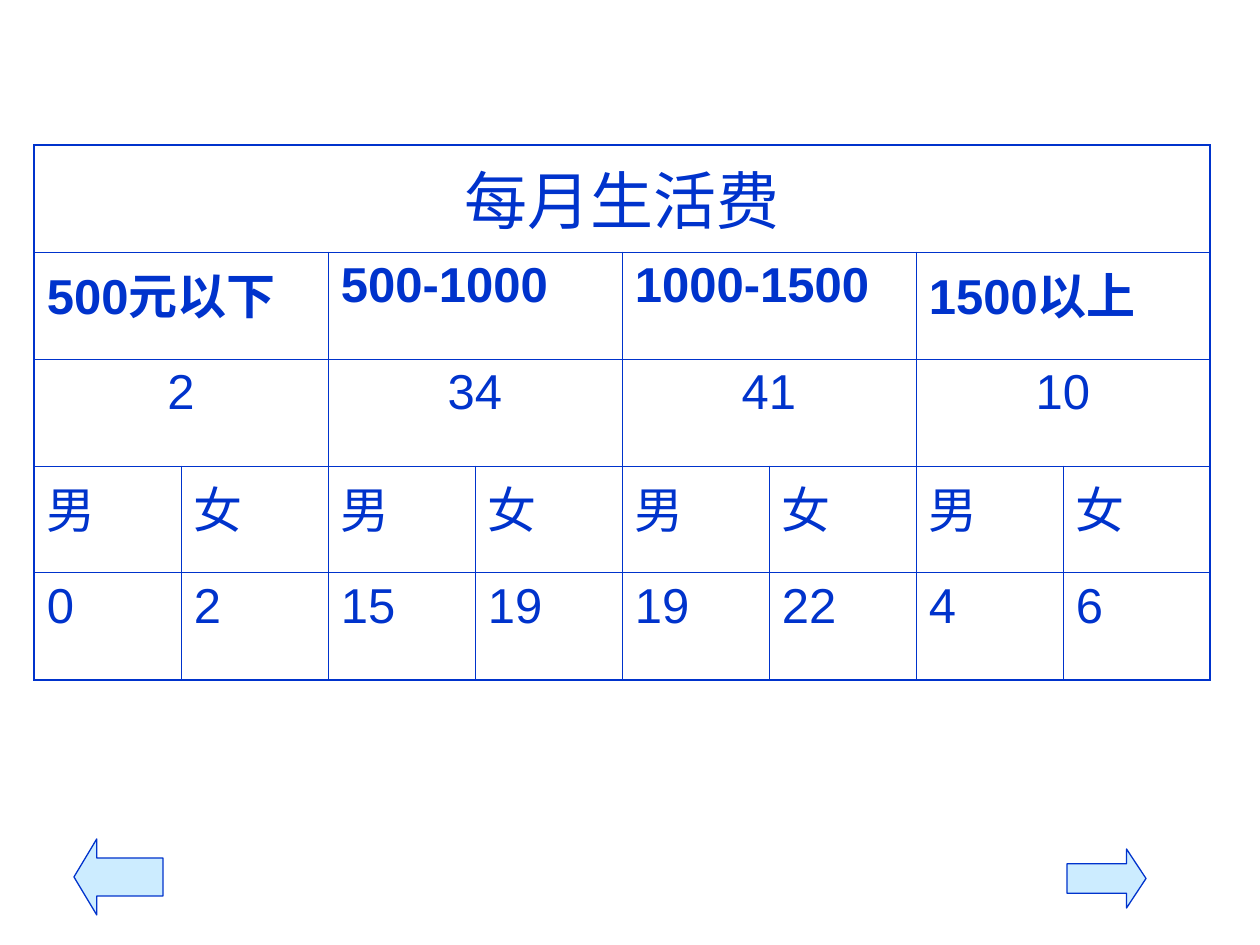
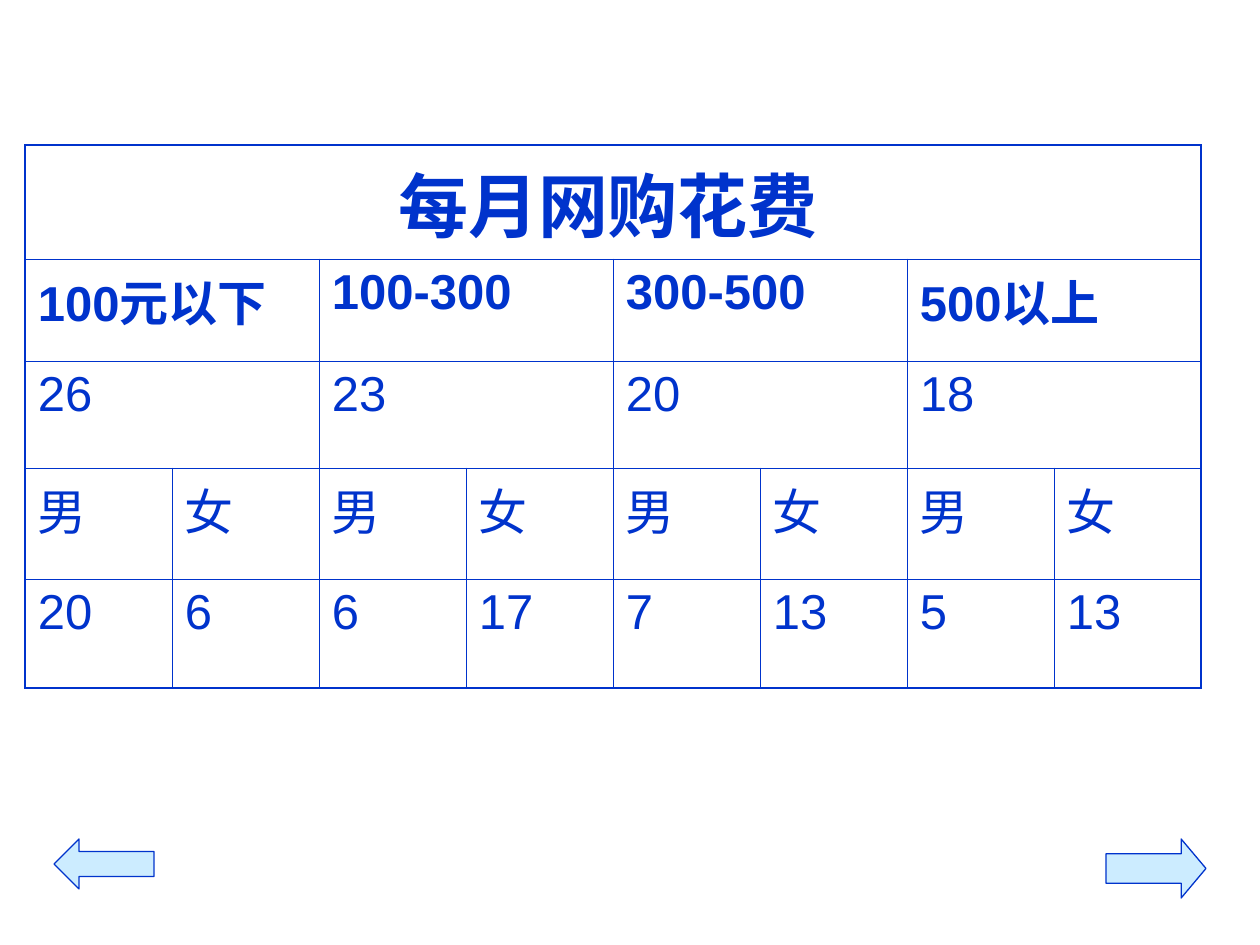
import pptx
import pptx.util
import pptx.dml.color
import pptx.enum.shapes
import pptx.enum.text
import pptx.oxml
import pptx.oxml.ns

BLUE = pptx.dml.color.RGBColor(0x00, 0x33, 0xCC)
PALE_BLUE = pptx.dml.color.RGBColor(0xCC, 0xEC, 0xFF)
FONT = "Arial"
THICK, THIN = 1.08, 0.45
COLUMNS, COLUMN_WIDTH, TABLE_TOP = 8, 147, 145
INSET = 13
CENTER = pptx.enum.text.PP_ALIGN.CENTER
LEFT = pptx.enum.text.PP_ALIGN.LEFT
RIGHT_ARROW = pptx.enum.shapes.MSO_SHAPE.RIGHT_ARROW
LEFT_ARROW = pptx.enum.shapes.MSO_SHAPE.LEFT_ARROW


def px(length):
    return pptx.util.Emu(round(length * 914400 / 126))


def add_border(cell, side, points):
    cell._tc.get_or_add_tcPr().append(pptx.oxml.parse_xml(
        f'<a:ln{side} {pptx.oxml.ns.nsdecls("a")} w="{pptx.util.Pt(points)}">'
        f'<a:solidFill><a:srgbClr val="{BLUE}"/></a:solidFill></a:ln{side}>'))


# Survey results; arrows are (shape, left, top, width, height, head length)
surveys = [
    {
        "title": "每月生活费", "title_size": 36, "title_bold": False,
        "title_right_inset": INSET,
        "ranges": ["500元以下", "500-1000", "1000-1500", "1500以上"],
        "totals": ["2", "34", "41", "10"], "totals_align": CENTER,
        "by_gender": ["0", "2", "15", "19", "19", "22", "4", "6"],
        "left": 34, "row_heights": [107] * 5,
        "arrows": [(RIGHT_ARROW, 1067, 849, 79, 59, 0.33),
                   (LEFT_ARROW, 74, 839, 89, 76, 0.3)],
    },
    {
        "title": "每月网购花费", "title_size": 40, "title_bold": True,
        "title_right_inset": 23,
        "ranges": ["100元以下", "100-300", "300-500", "500以上"],
        "totals": ["26", "23", "20", "18"], "totals_align": LEFT,
        "by_gender": ["20", "6", "6", "17", "7", "13", "5", "13"],
        "left": 25, "row_heights": [114, 102, 107, 111, 109],
        "arrows": [(RIGHT_ARROW, 1106, 839, 100, 59, 0.42),
                   (LEFT_ARROW, 54, 839, 100, 50, 0.5)],
    },
]

deck = pptx.Presentation()
deck.slide_width, deck.slide_height = px(1260), px(945)

for survey in surveys:
    page = deck.slides.add_slide(deck.slide_layouts[6])

    # Table grid
    heights = survey["row_heights"]
    table = page.shapes.add_table(
        len(heights), COLUMNS, px(survey["left"]), px(TABLE_TOP),
        px(COLUMN_WIDTH * COLUMNS), px(sum(heights))).table
    table.first_row = table.horz_banding = False
    for column in table.columns:
        column.width = px(COLUMN_WIDTH)
    for row, height in zip(table.rows, heights):
        row.height = px(height)

    # Rows: texts, size, bold, alignment
    rows = [
        ([survey["title"]], survey["title_size"], survey["title_bold"], CENTER),
        (survey["ranges"], 28, True, LEFT),
        (survey["totals"], 28, False, survey["totals_align"]),
        (["男", "女"] * 4, 28, False, LEFT),
        (survey["by_gender"], 28, False, LEFT),
    ]
    for row_index, (texts, size, bold, align) in enumerate(rows):
        span = COLUMNS // len(texts)
        for index, text in enumerate(texts):
            first = index * span
            last = first + span - 1
            cell = table.cell(row_index, first)
            if span > 1:
                cell.merge(table.cell(row_index, last))
            cell.margin_left = cell.margin_right = px(INSET)
            cell.margin_top = cell.margin_bottom = px(6)
            cell.text = text
            para = cell.text_frame.paragraphs[0]
            para.alignment = align
            para.font.name = FONT
            para.font.size = pptx.util.Pt(size)
            para.font.bold = bold
            para.font.color.rgb = BLUE

            # Heavy outer frame, fine inner lines
            outer_edges = {"L": first == 0, "R": last == COLUMNS - 1,
                           "T": row_index == 0, "B": row_index == len(rows) - 1}
            for part in range(first, last + 1):
                covered = table.cell(row_index, part)
                for side, outer in outer_edges.items():
                    add_border(covered, side, THICK if outer else THIN)
                covered.fill.background()
    table.cell(0, 0).margin_right = px(survey["title_right_inset"])

    # Navigation arrows
    for kind, left, top, width, height, head in survey["arrows"]:
        arrow = page.shapes.add_shape(kind, px(left), px(top), px(width), px(height))
        arrow.adjustments[1] = head
        arrow.shadow.inherit = False
        arrow.fill.solid()
        arrow.fill.fore_color.rgb = PALE_BLUE
        arrow.line.color.rgb = BLUE
        arrow.line.width = pptx.util.Pt(0.75)

deck.save("out.pptx")
